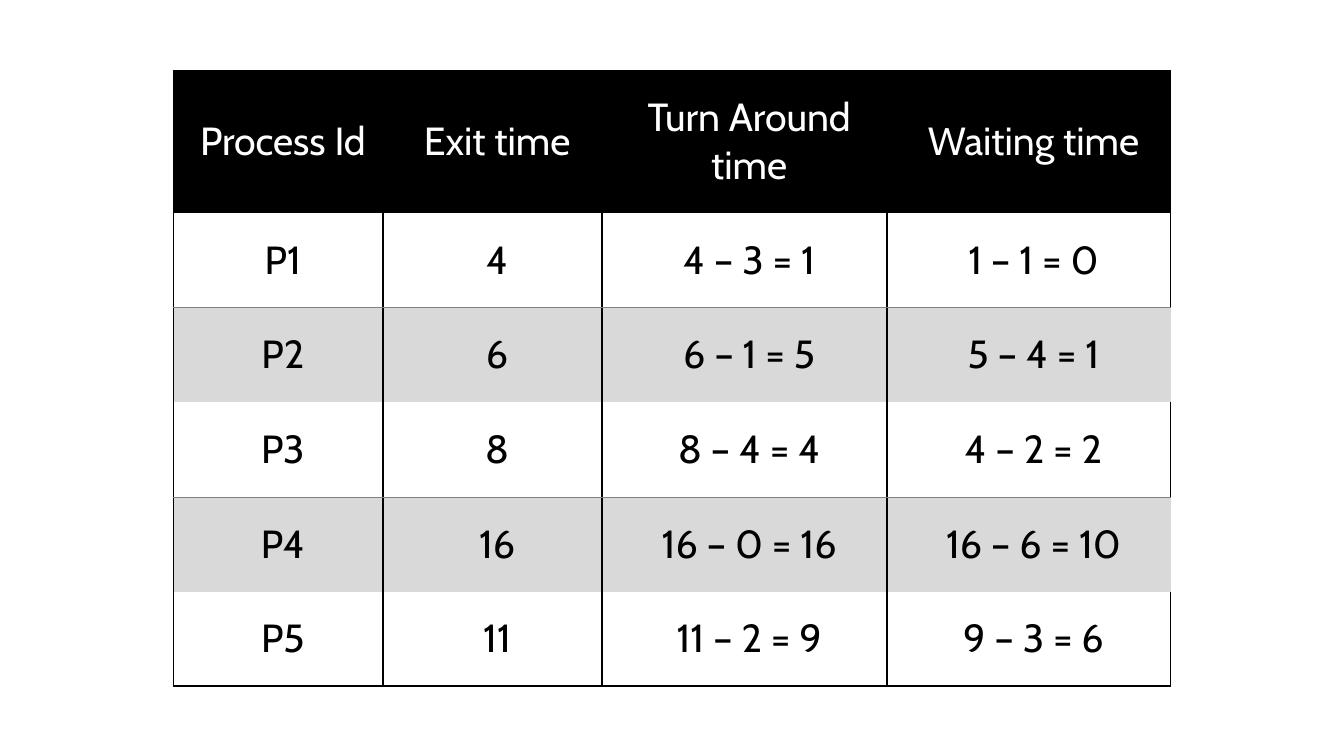
import pptx
import pptx.dml.color
import pptx.enum.text
import pptx.oxml
import pptx.oxml.ns
import pptx.util
from pptx.util import Inches, Pt

HEADINGS = ("Process Id", "Exit time", "Turn Around time", "Waiting time")
PROCESSES = [
    ("P1", "4", "4 – 3 = 1", "1 – 1 = 0"),
    ("P2", "6", "6 – 1 = 5", "5 – 4 = 1"),
    ("P3", "8", "8 – 4 = 4", "4 – 2 = 2"),
    ("P4", "16", "16 – 0 = 16", "16 – 6 = 10"),
    ("P5", "11", "11 – 2 = 9", "9 – 3 = 6"),
]
COLUMN_WIDTHS = (2.08, 2.17, 2.83, 2.81)
HEADING_HEIGHT, PROCESS_HEIGHT = 1.41, 0.94
LEFT, TOP = 1.72, 0.7
BLACK, WHITE, BAND = "000000", "FFFFFF", "D9D9D9"
RULE, HAIRLINE = (BLACK, 1.5), ("808080", 0.5)


def color(value):
    return pptx.dml.color.RGBColor.from_string(value)


def is_band(row):
    return row > 0 and row % 2 == 0


def cell_borders(row, column):
    """Return the left, right, top and bottom lines of one cell."""
    last_row, last_column = len(PROCESSES), len(HEADINGS) - 1
    if row == 0:
        return (RULE if column == 0 else None), None, RULE, None
    right = None if is_band(row) and column == last_column else RULE
    top = HAIRLINE if is_band(row) else None
    if row == last_row:
        bottom = RULE
    else:
        bottom = HAIRLINE if is_band(row + 1) else None
    return RULE, right, top, bottom


def draw_borders(cell, borders):
    properties = cell._tc.get_or_add_tcPr()
    for side, border in zip("LRTB", borders):
        if border:
            line_color, width = border
            size = f' w="{Pt(width)}"'
            paint = f'<a:solidFill><a:srgbClr val="{line_color}"/></a:solidFill>'
        else:
            size, paint = "", "<a:noFill/>"
        properties.append(pptx.oxml.parse_xml(
            f'<a:ln{side} {pptx.oxml.ns.nsdecls("a")}{size}>{paint}</a:ln{side}>'))


def fill_cell(cell, row):
    if row == 0 or is_band(row):
        cell.fill.solid()
        cell.fill.fore_color.rgb = color(BAND if row else BLACK)
    else:
        cell.fill.background()


def write_cell(cell, text, text_color):
    cell.margin_left, cell.margin_right = Inches(0.26), Inches(0.17)
    cell.margin_top = cell.margin_bottom = Inches(0.2)
    cell.vertical_anchor = pptx.enum.text.MSO_ANCHOR.MIDDLE
    paragraph = cell.text_frame.paragraphs[0]
    paragraph.alignment = pptx.enum.text.PP_ALIGN.CENTER
    run = paragraph.add_run()
    run.text = text
    run.font.name, run.font.size, run.font.bold = "Cabin", Pt(28), False
    run.font.color.rgb = color(text_color)


def main():
    presentation = pptx.Presentation()
    presentation.slide_width, presentation.slide_height = Inches(13.33), Inches(7.5)
    slide = presentation.slides.add_slide(presentation.slide_layouts[6])

    # Scheduling table
    rows = [HEADINGS] + PROCESSES
    heights = [HEADING_HEIGHT] + [PROCESS_HEIGHT] * len(PROCESSES)
    schedule = slide.shapes.add_table(
        len(rows), len(HEADINGS), Inches(LEFT), Inches(TOP),
        Inches(sum(COLUMN_WIDTHS)), Inches(sum(heights))).table
    schedule.first_row = schedule.horz_banding = False
    for column, width in zip(schedule.columns, COLUMN_WIDTHS):
        column.width = Inches(width)
    for row, height in zip(schedule.rows, heights):
        row.height = Inches(height)

    # Cells
    for row, texts in enumerate(rows):
        for column, text in enumerate(texts):
            cell = schedule.cell(row, column)
            draw_borders(cell, cell_borders(row, column))
            fill_cell(cell, row)
            write_cell(cell, text, BLACK if row else WHITE)

    presentation.save("out.pptx")


if __name__ == "__main__":
    main()
